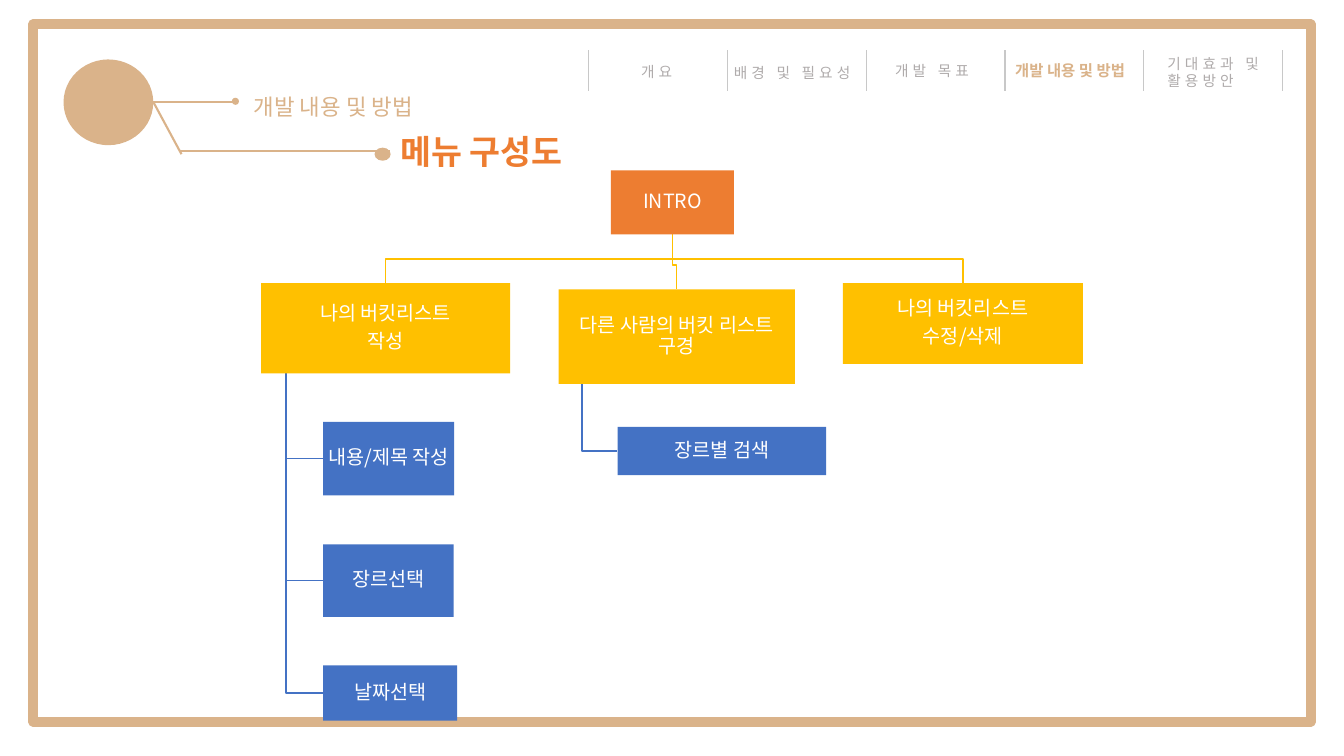
"""Builds the menu structure slide of a bucket list app proposal."""
from dataclasses import dataclass
from typing import Optional

from lxml.etree import SubElement
from pptx import Presentation
from pptx.dml.color import RGBColor
from pptx.enum.shapes import MSO_CONNECTOR, MSO_SHAPE
from pptx.enum.text import MSO_ANCHOR, MSO_AUTO_SIZE, PP_ALIGN
from pptx.oxml.ns import qn
from pptx.util import Inches, Pt

FONT = "Noto Sans CJK KR"
TAN, ORANGE, YELLOW, BLUE = "DAB38A", "ED7D31", "FFC000", "4472C4"
WHITE, RULE_GRAY, TEXT_GRAY = "FFFFFF", "C8C8C8", "AFABAB"
NAV_LEFT, NAV_STEP, NAV_COUNT = 58.4, 13.76, 6
BRANCH_DROP, STEM_SHARE = 2.4, 0.1


@dataclass(frozen=True)
class Area:
    """A rectangle in grid columns and rows."""
    left: float
    top: float
    width: float
    height: float


@dataclass(frozen=True)
class Label:
    """A line of free text with its style."""
    text: str
    area: Area
    size: float = 10.5
    color: str = TEXT_GRAY
    bold: bool = False
    spacing: float = 3


@dataclass(frozen=True)
class Menu:
    """A box of the menu tree; parent is the text of the box above."""
    text: str
    area: Area
    color: str
    parent: Optional[str] = None


INTRO = "INTRO"
WRITE = "나의 버킷리스트\n작성"
BROWSE = "다른 사람의 버킷 리스트 구경"
MENUS = [
    Menu(INTRO, Area(60.6, 16.9, 12.2, 6.35), ORANGE),
    Menu(WRITE, Area(25.9, 28.1, 24.7, 8.95), YELLOW, INTRO),
    Menu(BROWSE, Area(55.4, 28.7, 23.45, 9.4), YELLOW, INTRO),
    Menu("나의 버킷리스트\n수정/삭제", Area(83.6, 28.1, 23.8, 8), YELLOW, INTRO),
    Menu("내용/제목 작성", Area(32.05, 41.85, 13, 7.3), BLUE, WRITE),
    Menu("장르선택", Area(32.05, 54, 12.95, 7.2), BLUE, WRITE),
    Menu("날짜선택", Area(32.05, 66, 13.3, 5.5), BLUE, WRITE),
    Menu("장르별 검색", Area(61.25, 42.35, 20.7, 4.8), BLUE, BROWSE),
]
TITLE = Label("메뉴 구성도", Area(38.7, 12.5, 19.7, 5), 24, ORANGE, True, 0)
LABELS = [
    Label("개발 내용 및 방법", Area(24.2, 8.7, 19.4, 3.7), 16, TAN, False, 0),
    Label("개요", Area(62.6, 5.7, 5.8, 2.8)),
    Label("배경 및 필요성", Area(71.8, 5.8, 15, 2.8)),
    Label("개발 목표", Area(87.8, 5.6, 10.4, 2.8)),
    Label("개발 내용 및 방법", Area(99.7, 5.6, 14, 4.7), 11, TAN, True, 0),
    Label("기대효과 및\n활용방안", Area(114.8, 4.9, 13.1, 4.5)),
]
DOTS = [Area(6.3, 5.9, 8.9, 8.5), Area(23, 9.7, 0.7, 0.7), Area(37.15, 14.65, 1.6, 1.3)]
TITLE_LINES = [(13.9, 10.1, 23.1, 10.1), (15.2, 10.1, 18, 15.3), (17.8, 15, 38.7, 15)]


def grid(cells: float) -> int:
    """Convert grid columns or rows to a slide length."""
    return Inches(cells / 10)


def box(area: Area) -> tuple:
    """Return the left, top, width and height of an area."""
    return grid(area.left), grid(area.top), grid(area.width), grid(area.height)


def rgb(color: str) -> RGBColor:
    """Convert a hex string to a colour."""
    return RGBColor.from_string(color)


def style(paragraph, size: float, color: str, bold: bool = False, spacing: float = 0) -> None:
    """Set the font of a whole paragraph, for Latin and Korean letters."""
    font = paragraph.font
    font.name, font.size, font.bold = FONT, Pt(size), bold
    font.color.rgb = rgb(color)
    properties = paragraph._p.pPr.find(qn("a:defRPr"))
    properties.set("spc", str(round(spacing * 100)))
    SubElement(properties, qn("a:ea")).set("typeface", FONT)


def write_label(shape, label: Label) -> None:
    """Place and fill a text shape that does not wrap."""
    shape.left, shape.top, shape.width, shape.height = box(label.area)
    frame = shape.text_frame
    frame.text = label.text
    frame.word_wrap = False
    frame.auto_size = MSO_AUTO_SIZE.SHAPE_TO_FIT_TEXT
    frame.vertical_anchor = MSO_ANCHOR.TOP
    for paragraph in frame.paragraphs:
        paragraph.alignment = PP_ALIGN.LEFT
        paragraph.line_spacing = 1.0
        paragraph.space_before = Pt(0)
        style(paragraph, label.size, label.color, label.bold, label.spacing)


def draw_shape(slide, kind: MSO_SHAPE, area: Area, fill: Optional[str]):
    """Draw a preset shape without line or shadow."""
    shape = slide.shapes.add_shape(kind, *box(area))
    shape.shadow.inherit = False
    shape.line.fill.background()
    if fill:
        shape.fill.solid()
        shape.fill.fore_color.rgb = rgb(fill)
    else:
        shape.fill.background()
    return shape


def draw_line(slide, ends: tuple, color: str, width: float) -> None:
    """Draw a straight line between two grid points."""
    line = slide.shapes.add_connector(MSO_CONNECTOR.STRAIGHT, *map(grid, ends))
    line.line.color.rgb = rgb(color)
    line.line.width = Pt(width)
    SubElement(line._element.spPr, qn("a:effectLst"))


def draw_branch(slide, parent: Menu, child: Menu) -> None:
    """Draw the angled line from a parent menu to its child."""
    upper, lower = parent.area, child.area
    bottom = upper.top + upper.height
    if parent.text == INTRO:
        stem, tip = upper.left + upper.width / 2, lower.left + lower.width / 2
        bend = lower.top - BRANCH_DROP
        points = [(stem, bottom), (stem, bend), (tip, bend), (tip, lower.top)]
    else:
        stem, level = upper.left + upper.width * STEM_SHARE, lower.top + lower.height / 2
        points = [(stem, bottom), (stem, level), (lower.left, level)]
    start, *rest = [(grid(x), grid(y)) for x, y in points]
    builder = slide.shapes.build_freeform(*start)
    builder.add_line_segments(rest, close=False)
    branch = builder.convert_to_shape()
    branch.shadow.inherit = False
    branch.fill.background()
    branch.line.color.rgb = rgb(child.color)
    branch.line.width = Pt(1)


def draw_menu(slide, menu: Menu) -> None:
    """Draw a menu box with its centred text."""
    frame = draw_shape(slide, MSO_SHAPE.RECTANGLE, menu.area, menu.color).text_frame
    frame.text = menu.text
    frame.word_wrap = True
    frame.vertical_anchor = MSO_ANCHOR.MIDDLE
    frame.margin_left = frame.margin_right = frame.margin_top = frame.margin_bottom = grid(0.1)
    for paragraph in frame.paragraphs:
        paragraph.alignment = PP_ALIGN.CENTER
        paragraph.line_spacing = 0.9
        paragraph.space_after = Pt(5)
        style(paragraph, 14, WHITE)


def main() -> None:
    """Build and save the slide."""
    deck = Presentation()
    deck.slide_width, deck.slide_height = Inches(13.33), Inches(7.5)
    slide = deck.slides.add_slide(deck.slide_layouts[5])
    write_label(slide.shapes.title, TITLE)
    border = draw_shape(slide, MSO_SHAPE.RECTANGLE, Area(3.3, 2.4, 126.7, 69.2), None)
    border.line.color.rgb = rgb(TAN)
    border.line.width = Pt(7)
    for dot in DOTS:
        draw_shape(slide, MSO_SHAPE.OVAL, dot, TAN)
    for ends in TITLE_LINES:
        draw_line(slide, ends, TAN, 1.5)
    for index in range(NAV_COUNT):
        column = NAV_LEFT + index * NAV_STEP
        draw_line(slide, (column, 5, column, 9), RULE_GRAY, 1)
    for label in LABELS:
        write_label(slide.shapes.add_textbox(*box(label.area)), label)
    by_text = {menu.text: menu for menu in MENUS}
    for menu in MENUS:
        if menu.parent:
            draw_branch(slide, by_text[menu.parent], menu)
    for menu in MENUS:
        draw_menu(slide, menu)
    deck.save("out.pptx")


if __name__ == "__main__":
    main()
